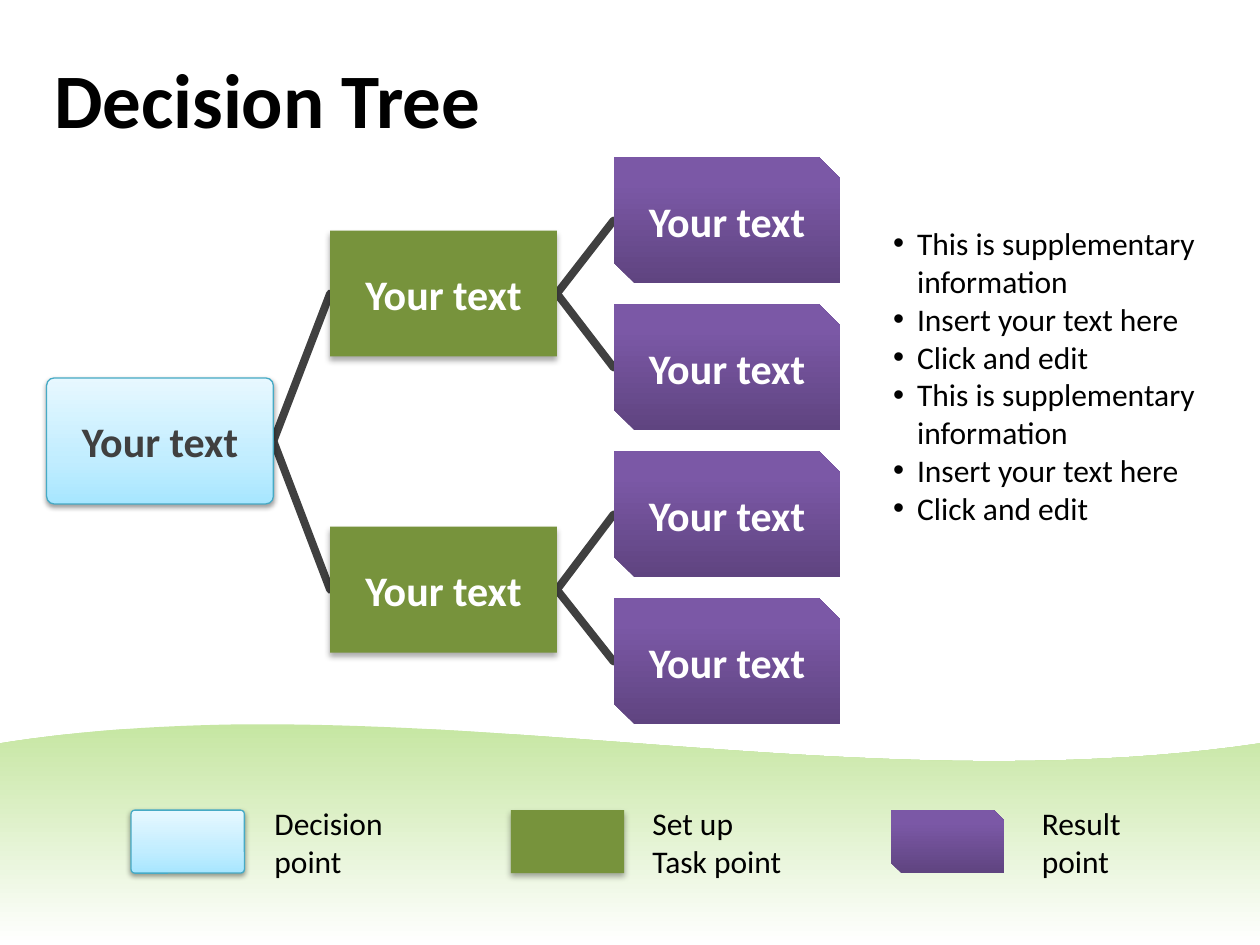
from lxml import etree
from pptx import Presentation
from pptx.dml.color import RGBColor
from pptx.enum.shapes import MSO_CONNECTOR, MSO_SHAPE
from pptx.enum.text import MSO_ANCHOR, MSO_AUTO_SIZE, PP_ALIGN
from pptx.oxml.ns import qn
from pptx.util import Inches, Pt

FONT = "Calibri"
COLORS = {"black": "000000", "white": "FFFFFF", "dark": "404040",
          "task": "77933C", "edge": "46AAC5", "grass": "C6E6A2"}
KINDS = {
    "decision": {"shape": MSO_SHAPE.ROUNDED_RECTANGLE, "text": "dark", "line": "edge",
                 "stops": [(0, "A7E6FF"), (35, "C1EDFF"), (100, "E7F8FF")],
                 "shadow": (38, 3.1, 1.6)},
    "task": {"shape": MSO_SHAPE.RECTANGLE, "text": "white", "fill": "task",
             "shadow": (32, 3.5, 2.2)},
    "result": {"shape": MSO_SHAPE.SNIP_2_DIAG_RECTANGLE, "text": "white",
               "stops": [(0, "5F4480"), (80, "7B58A6"), (100, "7C57A8")]},
}
TITLE = "Decision Tree"
NODE_TEXT = "Your text"
NOTES = ["This is supplementary information", "Insert your text here", "Click and edit"] * 2
LEGEND = [("decision", ["Decision", "point"], 2.08, 1.07),
          ("task", ["Set up", "Task point"], 5.08, 1.24),
          ("result", ["Result", "point"], 8.17, 0.83)]
NODE_W, NODE_H = 1.8, 1
COLUMN_X = {"decision": 0.37, "task": 2.62, "result": 4.87}
DECISION_Y = 3.5
TASK_Y = [2.33, 4.68]
RESULT_Y = [1.75 + i * 3.5 / 3 for i in range(4)]
WAVE_START = (1.88, 5.75)
WAVE_CURVES = [((4.58, 5.72), (7.29, 6.3), (10, 5.9)),
               ((0.62, 5.8), (1.25, 5.76), WAVE_START)]


def rgb(name):
    return RGBColor.from_string(COLORS[name])


def set_gradient(shape, stops, angle):
    shape.fill.background()
    empty = shape._element.spPr.find(qn("a:noFill"))
    gradient = etree.Element(qn("a:gradFill"), rotWithShape="1")
    stop_list = etree.SubElement(gradient, qn("a:gsLst"))
    for position, color in stops:
        stop = etree.SubElement(stop_list, qn("a:gs"), pos=str(position * 1000))
        etree.SubElement(stop, qn("a:srgbClr"), val=color)
    etree.SubElement(gradient, qn("a:lin"), ang=str(angle * 60000), scaled="0")
    empty.getparent().replace(empty, gradient)


def set_shadow(shape, alpha, blur, distance):
    effects = shape._element.spPr.find(qn("a:effectLst"))
    shadow = etree.SubElement(effects, qn("a:outerShdw"), blurRad=str(Pt(blur)),
                              dist=str(Pt(distance)), dir="5400000", rotWithShape="0")
    color = etree.SubElement(shadow, qn("a:srgbClr"), val=COLORS["black"])
    etree.SubElement(color, qn("a:alpha"), val=str(alpha * 1000))


def write(frame, lines, size, color, bold=False, align=PP_ALIGN.LEFT):
    for i, line in enumerate(lines):
        paragraph = frame.paragraphs[0] if i == 0 else frame.add_paragraph()
        paragraph.alignment = align
        run = paragraph.add_run()
        run.text = line
        run.font.name, run.font.size, run.font.bold = FONT, Pt(size), bold
        run.font.color.rgb = rgb(color)


def add_node(kind, x, y, w, h, text=None):
    style = KINDS[kind]
    node = slide.shapes.add_shape(style["shape"], Inches(x), Inches(y), Inches(w), Inches(h))
    node.shadow.inherit = False
    if kind == "decision":
        node.adjustments[0] = 0.06
    if "stops" in style:
        set_gradient(node, style["stops"], 270)
    else:
        node.fill.solid()
        node.fill.fore_color.rgb = rgb(style["fill"])
    if "line" in style:
        node.line.color.rgb = rgb(style["line"])
        node.line.width = Pt(0.75)
    else:
        node.line.fill.background()
    if "shadow" in style:
        set_shadow(node, *style["shadow"])
    if text:
        node.text_frame.vertical_anchor = MSO_ANCHOR.MIDDLE
        write(node.text_frame, [text], 24, style["text"], True, PP_ALIGN.CENTER)


def add_branch(parent, y1, child, y2):
    branch = slide.shapes.add_connector(
        MSO_CONNECTOR.STRAIGHT, Inches(COLUMN_X[parent] + NODE_W), Inches(y1),
        Inches(COLUMN_X[child]), Inches(y2))
    branch.line.color.rgb = rgb("dark")
    branch.line.width = Pt(4.5)
    branch.line._get_or_add_ln().set("cap", "rnd")
    etree.SubElement(branch._element.spPr, qn("a:effectLst"))


def curve_points(start, c1, c2, end, steps=40):
    for i in range(1, steps + 1):
        t = i / steps
        weights = ((1 - t) ** 3, 3 * t * (1 - t) ** 2, 3 * t * t * (1 - t), t ** 3)
        yield tuple(Inches(sum(k * p[axis] for k, p in zip(weights, (start, c1, c2, end))))
                    for axis in (0, 1))


def add_wave():
    builder = slide.shapes.build_freeform(*(Inches(v) for v in WAVE_START))
    corners = [(Inches(x), Inches(y)) for x, y in ((10, 7.5), (0, 7.5), (0, 5.9))]
    builder.add_line_segments([*curve_points(WAVE_START, *WAVE_CURVES[0]), *corners,
                               *curve_points((0, 5.9), *WAVE_CURVES[1])])
    wave = builder.convert_to_shape()
    wave.shadow.inherit = False
    wave.line.fill.background()
    set_gradient(wave, [(0, COLORS["grass"]), (100, COLORS["white"])], 90)


def add_text(lines, x, y, w, h, wrap):
    box = slide.shapes.add_textbox(Inches(x), Inches(y), Inches(w), Inches(h))
    box.text_frame.word_wrap = wrap
    if not wrap:
        box.text_frame.auto_size = MSO_AUTO_SIZE.SHAPE_TO_FIT_TEXT
    write(box.text_frame, lines, 18, "black")
    return box


prs = Presentation()
prs.slide_width, prs.slide_height = Inches(10), Inches(7.5)
slide = prs.slides.add_slide(prs.slide_layouts[5])
add_wave()

title = slide.shapes.title
title.left, title.top, title.width, title.height = map(Inches, (0.33, 0.3, 9, 0.95))
title.text_frame.vertical_anchor = MSO_ANCHOR.MIDDLE
write(title.text_frame, [TITLE], 44, "black", True)

for i, task_y in enumerate(TASK_Y):
    add_branch("decision", DECISION_Y, "task", task_y)
    for result_y in RESULT_Y[2 * i:2 * i + 2]:
        add_branch("task", task_y, "result", result_y)

for kind, centers in (("task", TASK_Y), ("result", RESULT_Y), ("decision", [DECISION_Y])):
    for center in centers:
        add_node(kind, COLUMN_X[kind], center - NODE_H / 2, NODE_W, NODE_H, NODE_TEXT)

notes = add_text(NOTES, 6.99, 1.73, 2.67, 3.49, True)
for paragraph in notes.text_frame.paragraphs:
    props = paragraph._p.get_or_add_pPr()
    props.set("marL", str(Inches(0.19)))
    props.set("indent", str(Inches(-0.19)))
    etree.SubElement(props, qn("a:buFont"), typeface="Arial")
    etree.SubElement(props, qn("a:buChar"), char="•")

for i, (kind, lines, text_x, text_w) in enumerate(LEGEND):
    add_node(kind, 1.04 + i * 3.015, 6.43, NODE_W / 2, NODE_H / 2)
    add_text(lines, text_x, 6.33, text_w, 0.71, False)

prs.save("out.pptx")
